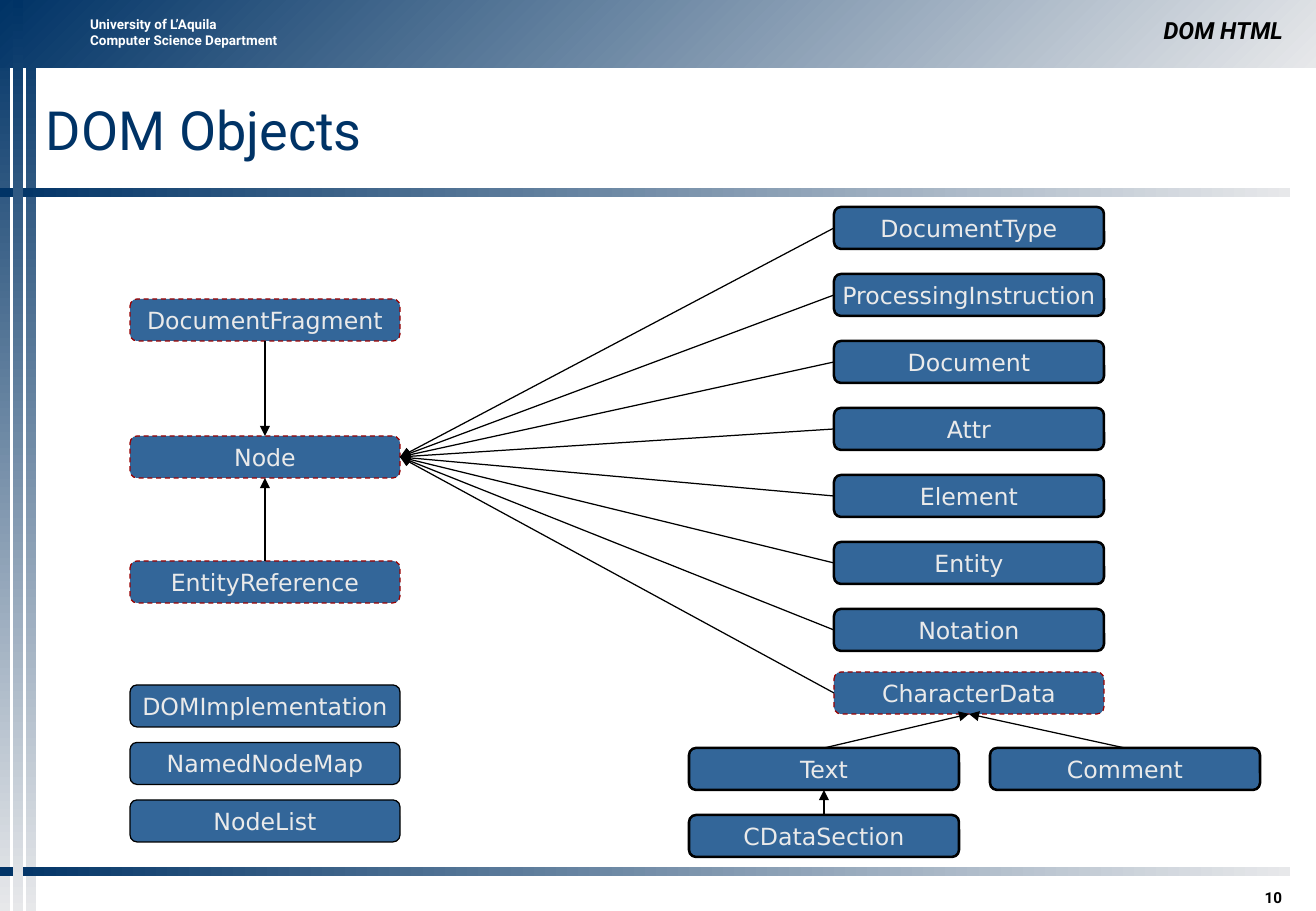
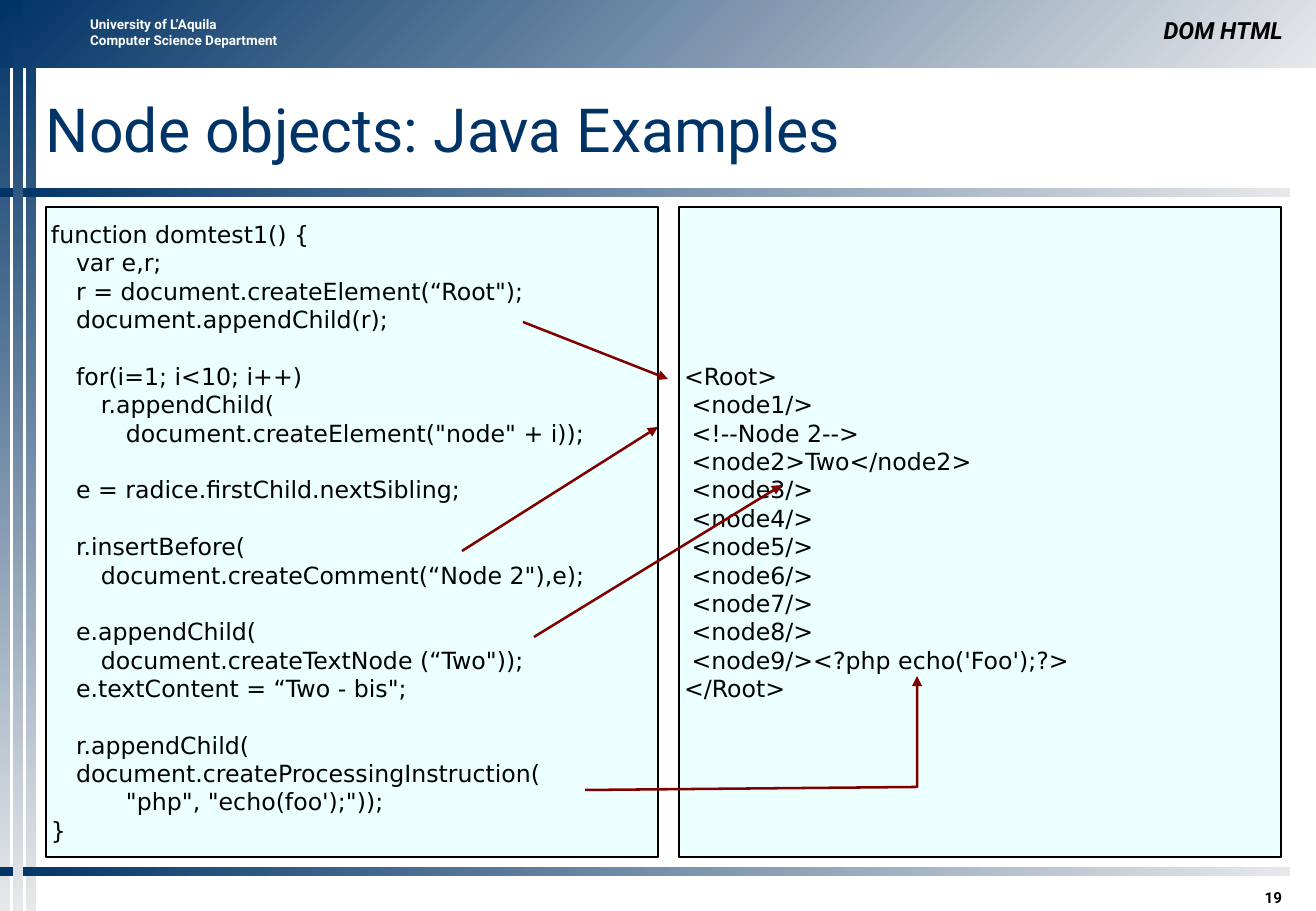
from pptx import Presentation
from pptx.dml.color import RGBColor as RGB
from pptx.enum.dml import MSO_LINE as Dash
from pptx.enum.shapes import MSO_CONNECTOR as Conn, MSO_SHAPE as Kind
from pptx.enum.text import MSO_ANCHOR as Anchor, PP_ALIGN as Align
from pptx.oxml.ns import qn
from pptx.util import Pt
from lxml.etree import SubElement

PX = 7526  # EMU in one px
WIDE, HIGH = 1316, 911
HEAD, BODY = "Roboto", "DejaVu Sans"
INK = dict(navy="003366", pale="E7E8EA", blue="336699", mist="EAEAEA", red="9A0000",
           wine="800000", ice="EBFFFF", black="000000", white="FFFFFF")
TOP, LEFT, LOW, RIGHT = range(4)

# Shared bands: left, top, width, height, clockwise angle of the gradient
BANDS = [(0, 0, 10, HIGH, 90), (26, 0, 10, HIGH, 90), (0, 0, WIDE, 68, 45),
         (0, 188, 1290, 9, 0), (0, 867, 1290, 9, 0), (13, 0, 10, HIGH, 90)]
SCHOOL = ["University of L’Aquila", "Computer Science Department"]
COURSE = "DOM HTML"

# Box styles: line colour, line width, dashed
STYLES = dict(base=("red", 0.75, True), real=("black", 1.5, False),
              util=("black", 0.75, False))
BOX_W, BOX_H = 270, 42
# Columns of boxes: left, top, step, style, names
COLUMNS = [
    (130, 299, 0, "base", ["DocumentFragment"]),
    (130, 436, 0, "base", ["Node"]),
    (130, 561, 0, "base", ["EntityReference"]),
    (130, 685, 57.5, "util", ["DOMImplementation", "NamedNodeMap", "NodeList"]),
    (834, 207, 67, "real", ["DocumentType", "ProcessingInstruction", "Document",
                            "Attr", "Element", "Entity", "Notation"]),
    (834, 672, 0, "base", ["CharacterData"]),
    (689, 748, 67, "real", ["Text", "CDataSection"]),
    (990, 748, 0, "real", ["Comment"]),
]
KIDS = COLUMNS[4][4] + ["CharacterData"]
# Joins: child, side, parent, side
JOINS = [(kid, LEFT, "Node", RIGHT) for kid in KIDS] + [
    ("DocumentFragment", LOW, "Node", TOP),
    ("EntityReference", TOP, "Node", LOW),
    ("Text", TOP, "CharacterData", LOW),
    ("Comment", TOP, "CharacterData", LOW),
    ("CDataSection", TOP, "Text", LOW),
]

# Code: blocks of (indent level, line)
CODE = [
    [(0, "function domtest1() {"), (1, "var e,r;"),
     (1, "r = document.createElement(“Root\");"), (1, "document.appendChild(r);")],
    [(1, "for(i=1; i<10; i++)"), (2, "r.appendChild("),
     (3, "document.createElement(\"node\" + i));")],
    [(1, "e = radice.firstChild.nextSibling;")],
    [(1, "r.insertBefore("), (2, "document.createComment(“Node 2\"),e);")],
    [(1, "e.appendChild("), (2, "document.createTextNode (“Two\"));"),
     (1, "e.textContent = “Two - bis\";")],
    [(1, "r.appendChild("), (1, "document.createProcessingInstruction("),
     (3, "\"php\", \"echo(foo');\"));"), (0, "}")],
]
TREE = ["<Root>", " <node1/>", " <!--Node 2-->", " <node2>Two</node2>",
        *[f" <node{n}/>" for n in range(3, 9)],
        " <node9/><?php echo('Foo');?>", "</Root>"]
PANELS = [((679, 207, 602, 650), [[(0, line) for line in TREE]]),
          ((46, 207, 612, 650), CODE)]
STEP, PITCH = 25, Pt(16.8)
ARROWS = [(462, 551, 658, 427), (534, 637, 782, 485), (523, 322, 668, 379)]
BEND = [(585, 790), (917, 787), (917, 676)]


def px(*nums):
    return [round(n * PX) for n in nums]


def tint(name):
    return RGB.from_string(INK[name])


def write(para, text, size, color, face=BODY, bold=False, slant=False):
    run = para.add_run()
    run.text = text
    font = run.font
    font.size, font.name, font.bold, font.italic = Pt(size), face, bold, slant
    font.color.rgb = tint(color)


def paras(frame):
    """Yield the first paragraph, then new ones without end."""
    yield frame.paragraphs[0]
    while True:
        yield frame.add_paragraph()


def inset(frame, left, top, right, low):
    (frame.margin_left, frame.margin_top,
     frame.margin_right, frame.margin_bottom) = px(left, top, right, low)


def label(slide, area, lines, size, color, anchor=Anchor.TOP, align=Align.LEFT,
          pad=(12, 6, 12, 6), **look):
    frame = slide.shapes.add_textbox(*px(*area)).text_frame
    frame.word_wrap, frame.vertical_anchor = True, anchor
    inset(frame, *pad)
    for line, para in zip(lines, paras(frame)):
        para.alignment = align
        write(para, line, size, color, HEAD, **look)


def block(slide, kind, area, fill, line, width):
    shape = slide.shapes.add_shape(kind, *px(*area))
    shape.shadow.inherit = False
    shape.fill.solid()
    shape.fill.fore_color.rgb = tint(fill)
    shape.line.color.rgb, shape.line.width = tint(line), Pt(width)
    shape.text_frame.vertical_anchor = Anchor.MIDDLE
    return shape


def point(shape, color, width):
    """Style a line and put an arrowhead at its end."""
    shape.line.color.rgb, shape.line.width = tint(color), Pt(width)
    SubElement(shape.line._get_or_add_ln(), qn("a:tailEnd"), type="triangle")


def arrow(slide, ends, color, width):
    wire = slide.shapes.add_connector(Conn.STRAIGHT, *px(*ends))
    point(wire, color, width)
    SubElement(wire._element.spPr, qn("a:effectLst"))
    return wire


def start(deck, title, size, page):
    """Add a slide with the shared bands, header, title and page number."""
    slide = deck.slides.add_slide(deck.slide_layouts[6])
    for *area, angle in BANDS:
        band = slide.shapes.add_shape(Kind.RECTANGLE, *px(*area))
        band.shadow.inherit = False
        band.line.fill.background()
        band.fill.gradient()
        band.fill.gradient_angle = -angle % 360
        for stop, name in zip(band.fill.gradient_stops, ("navy", "pale")):
            stop.color.rgb = tint(name)
    label(slide, (78, 10, 244, 45), SCHOOL, 8, "white", bold=True)
    label(slide, (1151, 877, 143, 30), [page], 9, "black", Anchor.BOTTOM,
          Align.RIGHT, (12, 6, 12, 0), bold=True)
    label(slide, (659, 10, 636, 40), [COURSE], 14, "black", Anchor.BOTTOM,
          Align.RIGHT, bold=True, slant=True)
    label(slide, (46, 70, 1248, 117), [title], size, "navy", Anchor.MIDDLE,
          pad=(0, 0, 0, 0))
    return slide


def draw_objects(deck):
    slide = start(deck, "DOM Objects", 32, "10")
    boxes = {}
    for left, top, step, style, names in COLUMNS:
        line, width, dashed = STYLES[style]
        for row, name in enumerate(names):
            area = (left, top + row * step, BOX_W, BOX_H)
            box = block(slide, Kind.FLOWCHART_ALTERNATE_PROCESS, area,
                        "blue", line, width)
            if dashed:
                box.line.dash_style = Dash.DASH
            box.text_frame.word_wrap = False
            para = box.text_frame.paragraphs[0]
            para.alignment = Align.CENTER
            write(para, name, 14, "mist")
            boxes[name] = box
    for child, out, parent, into in JOINS:
        wire = arrow(slide, (0, 0, 0, 0), "black", 0.75)
        wire.begin_connect(boxes[child], out)
        wire.end_connect(boxes[parent], into)


def draw_code(deck):
    slide = start(deck, "Node objects: Java Examples", 36, "19")
    for area, groups in PANELS:
        frame = block(slide, Kind.RECTANGLE, area, "ice", "black", 1).text_frame
        frame.word_wrap = True
        inset(frame, 5, 5, 5, 5)
        lines = [(level, text, g > 0 and n == 0) for g, group in enumerate(groups)
                 for n, (level, text) in enumerate(group)]
        for (level, text, gap), para in zip(lines, paras(frame)):
            para.alignment, para.line_spacing = Align.LEFT, PITCH
            if gap:
                para.space_before = PITCH
            para._p.get_or_add_pPr().set("marL", str(level * STEP * PX))
            write(para, text, 14, "black")
    pen = slide.shapes.build_freeform(*BEND[0], scale=PX)
    pen.add_line_segments(BEND[1:], close=False)
    bend = pen.convert_to_shape()
    bend.shadow.inherit = False
    bend.fill.background()
    point(bend, "wine", 1.5)
    for ends in ARROWS:
        arrow(slide, ends, "wine", 1.5)


def main():
    deck = Presentation()
    deck.slide_width, deck.slide_height = px(WIDE, HIGH)
    draw_objects(deck)
    draw_code(deck)
    deck.save("out.pptx")


if __name__ == "__main__":
    main()
